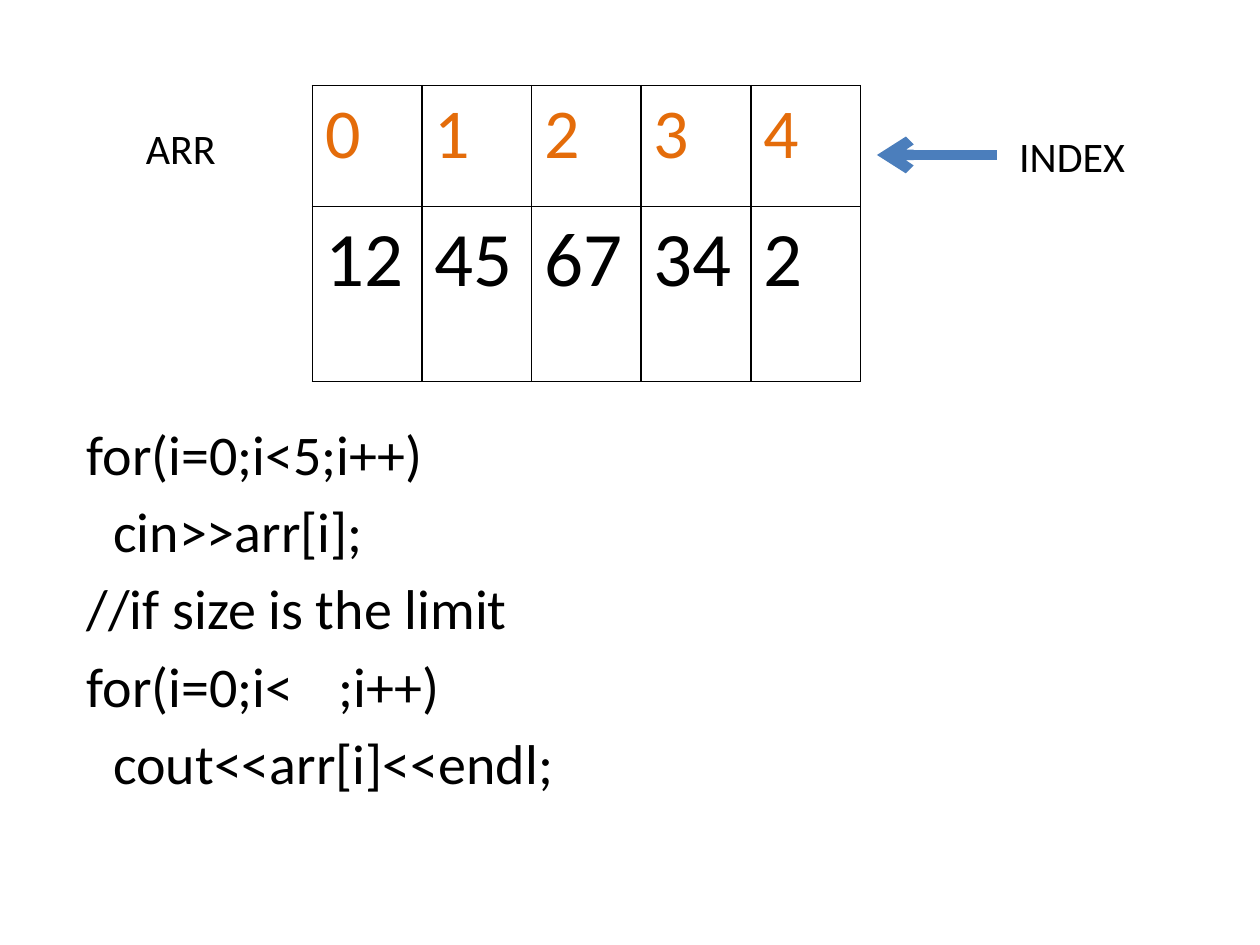
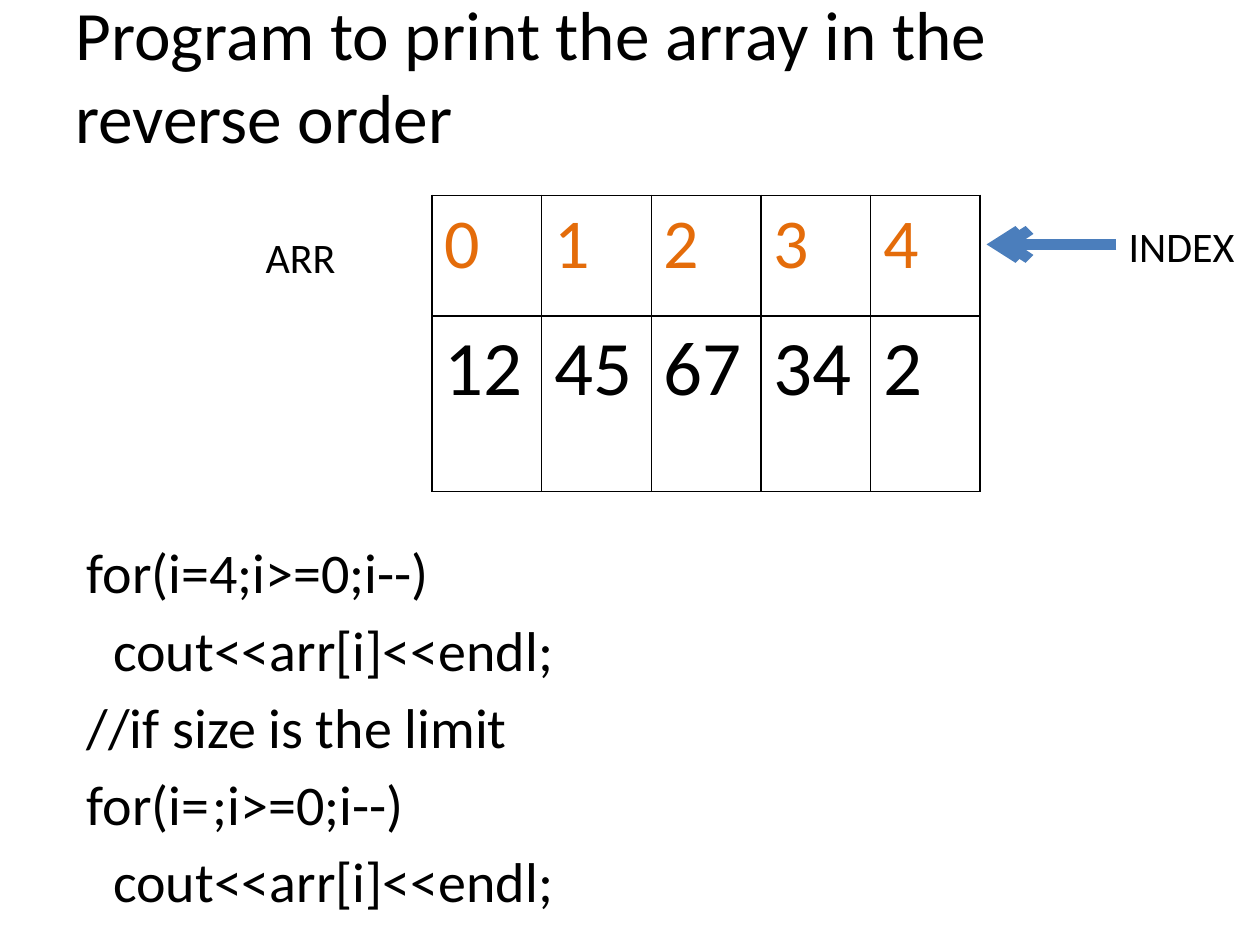
from lxml.etree import SubElement
from pptx import Presentation
from pptx.dml.color import RGBColor
from pptx.enum.shapes import MSO_CONNECTOR
from pptx.enum.text import MSO_ANCHOR
from pptx.oxml.ns import qn
from pptx.util import Inches, Pt

COLOURS = {"ink": "000000", "index": "E46C0A", "arrow": "4B7EBC"}
FONT = "Calibri"
INDEXES = ["0", "1", "2", "3", "4"]
VALUES = ["12", "45", "67", "34", "2"]
COLUMN_WIDTH = 0.87
ROW_HEIGHTS = [0.96, 1.39]
CODE_INDENT = 0.21


def colour(name):
    return RGBColor.from_string(COLOURS[name])


class ArrayDeck:
    """Holds the shared style and the slide being drawn."""

    def __init__(self):
        self.deck = Presentation()
        self.deck.slide_width = Inches(10)
        self.deck.slide_height = Inches(7.5)
        self.page = None

    def new_page(self):
        self.page = self.deck.slides.add_slide(self.deck.slide_layouts[6])

    def add_span(self, para, text, size, ink="ink"):
        span = para.add_run()
        span.text = text
        span.font.name = FONT
        span.font.size = Pt(size)
        span.font.color.rgb = colour(ink)

    def text_frame(self, left, top, width, height):
        box = self.page.shapes.add_textbox(
            Inches(left), Inches(top), Inches(width), Inches(height))
        box.text_frame.word_wrap = True
        return box.text_frame

    def title(self, text):
        frame = self.text_frame(0.5, 0.3, 9, 1.25)
        frame.vertical_anchor = MSO_ANCHOR.MIDDLE
        frame.margin_bottom = Inches(0.72)  # lifts the title clear of the table
        self.add_span(frame.paragraphs[0], text, 39.6)

    def label(self, text, left, top):
        frame = self.text_frame(left, top, 1.34, 0.5)
        self.add_span(frame.paragraphs[0], text, 24)

    def code(self, top, lines, gap_end):
        """Lines are (indent level, text); a tab leaves a gap up to gap_end."""
        frame = self.text_frame(0.59, top, 9, 4.95)
        for number, (level, text) in enumerate(lines):
            para = frame.add_paragraph() if number else frame.paragraphs[0]
            para.space_before = Pt(5.7)
            properties = para._p.get_or_add_pPr()
            properties.set("marL", str(Inches(CODE_INDENT * level)))
            properties.set("indent", "0")
            if "\t" in text:
                stops = SubElement(properties, qn("a:tabLst"))
                SubElement(stops, qn("a:tab"), pos=str(Inches(gap_end)), algn="l")
            self.add_span(para, text, 32)

    def arrow(self, start, end, y):
        connector = self.page.shapes.add_connector(
            MSO_CONNECTOR.STRAIGHT, Inches(start), Inches(y), Inches(end), Inches(y))
        connector.line.color.rgb = colour("arrow")
        connector.line.width = Pt(6)
        properties = connector._element.spPr
        SubElement(properties.find(qn("a:ln")), qn("a:tailEnd"), type="arrow")
        SubElement(properties, qn("a:effectLst"))

    def border(self, cell):
        properties = cell._tc.get_or_add_tcPr()
        for position, side in enumerate(("lnL", "lnR", "lnT", "lnB")):
            edge = properties.makeelement(qn(f"a:{side}"), {"w": str(Pt(1))})
            fill = SubElement(edge, qn("a:solidFill"))
            SubElement(fill, qn("a:srgbClr"), val=COLOURS["ink"])
            properties.insert(position, edge)

    def array_table(self, left, top):
        table = self.page.shapes.add_table(
            len(ROW_HEIGHTS), len(INDEXES), Inches(left), Inches(top),
            Inches(COLUMN_WIDTH * len(INDEXES)), Inches(sum(ROW_HEIGHTS))).table
        table.first_row = table.horz_banding = False
        for column in table.columns:
            column.width = Inches(COLUMN_WIDTH)
        styles = [(INDEXES, 40, "index"), (VALUES, 44, "ink")]
        for row, (texts, size, ink) in enumerate(styles):
            table.rows[row].height = Inches(ROW_HEIGHTS[row])
            for column, text in enumerate(texts):
                cell = table.cell(row, column)
                cell.fill.background()
                self.border(cell)
                self.add_span(cell.text_frame.paragraphs[0], text, size, ink)

    def array_figure(self, left, top, index_left, arrow_y, arrow_starts):
        """The array with its name on the left and arrows from INDEX."""
        self.array_table(left, top)
        self.label("ARR", left - 1.42, top + 0.24)
        self.label("INDEX", index_left, arrow_y - 0.24)
        for start in arrow_starts:
            self.arrow(start, start - 0.95, arrow_y)


def main():
    show = ArrayDeck()

    # Reading and printing the array
    show.new_page()
    show.code(3.28, [
        (0, "for(i=0;i<5;i++)"),
        (1, "cin>>arr[i];"),
        (0, "//if size is the limit"),
        (0, "for(i=0;i<\t;i++)"),
        (1, "cout<<arr[i]<<endl;"),
    ], gap_end=2.15)
    show.array_figure(2.48, 0.68, 7.99, 1.23, [7.91])

    # Printing in reverse order
    show.new_page()
    show.title("Program to print the array in the reverse order")
    show.code(4.22, [
        (0, "for(i=4;i>=0;i--)"),
        (1, "cout<<arr[i]<<endl;"),
        (0, "//if size is the limit"),
        (0, "for(i=\t;i>=0;i--)"),
        (1, "cout<<arr[i]<<endl;"),
    ], gap_end=1.69)
    show.array_figure(3.43, 1.55, 8.86, 1.94, [8.78, 8.86])

    show.deck.save("out.pptx")


if __name__ == "__main__":
    main()
